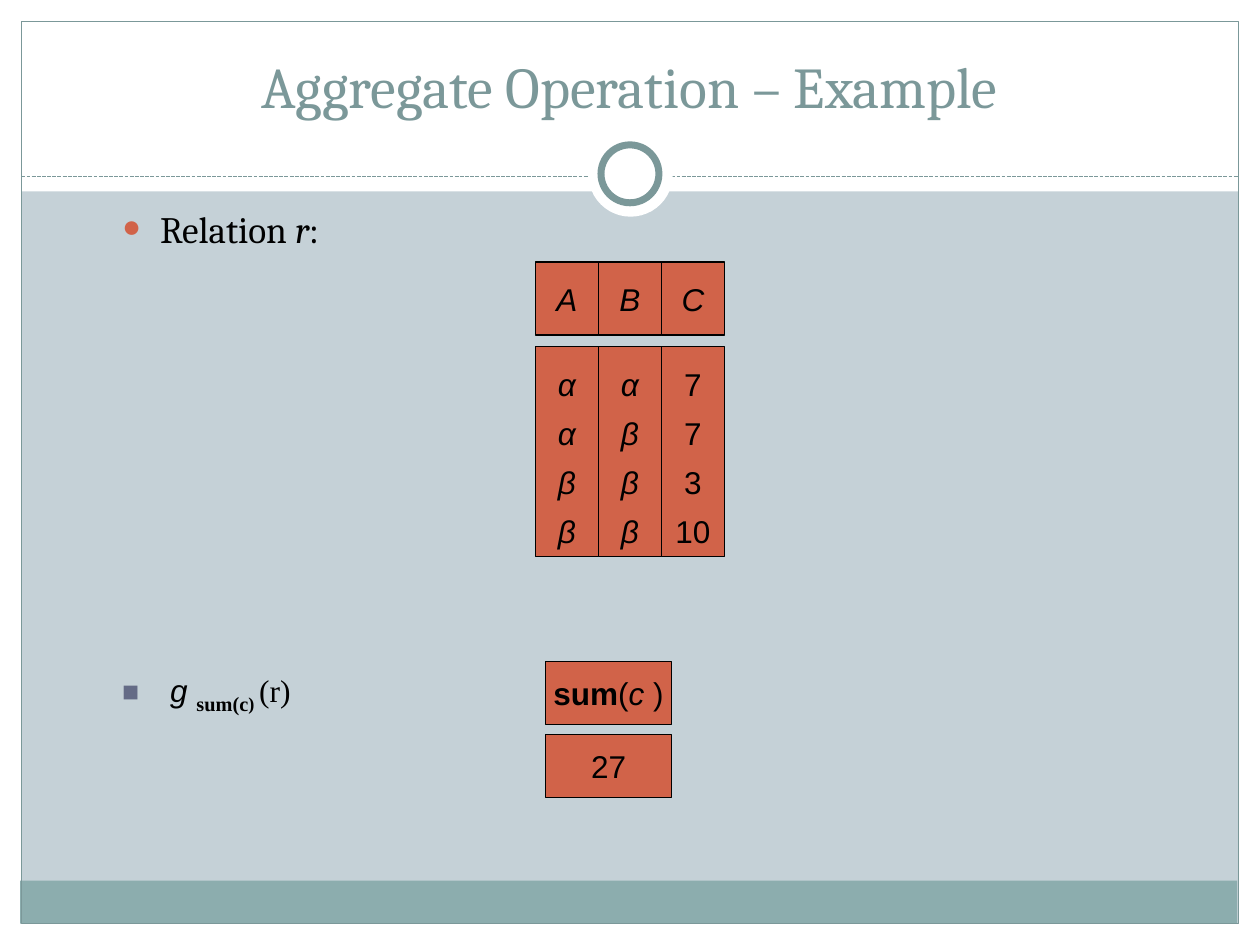
from lxml import etree
from pptx import Presentation
from pptx.dml.color import RGBColor
from pptx.enum.dml import MSO_LINE
from pptx.enum.shapes import MSO_CONNECTOR, MSO_SHAPE
from pptx.enum.text import MSO_ANCHOR, MSO_AUTO_SIZE, PP_ALIGN
from pptx.oxml.ns import qn
from pptx.util import Inches, Pt

RECTANGLE, ELLIPSE = MSO_SHAPE.RECTANGLE, MSO_SHAPE.OVAL
CENTER, LEFT = PP_ALIGN.CENTER, PP_ALIGN.LEFT
TOP, MIDDLE, BOTTOM = MSO_ANCHOR.TOP, MSO_ANCHOR.MIDDLE, MSO_ANCHOR.BOTTOM

COLORS = {"background": "C5D1D7", "white": "FFFFFF", "band": "8CADAE",
          "teal": "7B9899", "orange": "D16349", "violet": "646B86", "black": "000000"}

TITLE = "Aggregate Operation – Example"
ITALIC = {"italic": True}
SUBSCRIPT = {"font": "Times New Roman", "bold": True, "baseline": -25}
RELATION_LABEL = [("Relation ", {}), ("r", ITALIC), (":", {})]
QUERY_LABEL = [("g ", {"font": "Arial", "italic": True}),
               ("sum(c", {**SUBSCRIPT, "size": 20}),
               (") ", SUBSCRIPT),
               ("(r)", {"font": "Times New Roman"})]
RELATION = [("A", ["α", "α", "β", "β"], ITALIC),
            ("B", ["α", "β", "β", "β"], ITALIC),
            ("C", ["7", "7", "3", "10"], {})]
RESULT = [[("sum", {"bold": True}), ("(", {}), ("c ", ITALIC), (")", {})],
          [("27", {})]]
FRAME = [
    (RECTANGLE, (0, 7.33, 10, 0.17), "white", None, 0),
    (RECTANGLE, (0, 0, 10, 1.52), "white", None, 0),
    (RECTANGLE, (0, 0, 0.17, 7.5), "white", None, 0),
    (RECTANGLE, (9.83, 0, 0.17, 7.5), "white", None, 0),
    (RECTANGLE, (0.16, 6.99, 9.66, 0.34), "band", None, 0),
    (RECTANGLE, (0.17, 0.17, 9.66, 7.16), None, "teal", 0.75),
]
RINGS = [
    (ELLIPSE, (4.67, 1.05, 0.67, 0.67), "white", None, 0),
    (ELLIPSE, (4.77, 1.15, 0.46, 0.46), "white", "teal", 4),
]


def color(name):
    """Return the named colour."""
    return RGBColor.from_string(COLORS[name])


def add_block(slide, kind, box, fill, line, width):
    """Add a flat preset shape."""
    shape = slide.shapes.add_shape(kind, *map(Inches, box))
    shape.shadow.inherit = False
    if fill:
        shape.fill.solid()
        shape.fill.fore_color.rgb = color(fill)
    else:
        shape.fill.background()
    if line:
        shape.line.color.rgb = color(line)
        shape.line.width = Pt(width)
    else:
        shape.line.fill.background()
    return shape


def add_divider(slide):
    """Add the dashed line below the title."""
    line = slide.shapes.add_connector(
        MSO_CONNECTOR.STRAIGHT, Inches(0.17), Inches(1.4), Inches(9.83), Inches(1.4))
    line.line.color.rgb = color("teal")
    line.line.width = Pt(0.75)
    line.line.dash_style = MSO_LINE.SQUARE_DOT
    etree.SubElement(line.element.spPr, qn("a:effectLst"))


def add_bullet(paragraph, character, fill, percent, indent):
    """Give a paragraph a coloured hanging bullet."""
    properties = paragraph._p.get_or_add_pPr()
    properties.set("marL", str(Inches(indent)))
    properties.set("indent", str(-Inches(indent)))
    bullet_color = etree.SubElement(properties, qn("a:buClr"))
    etree.SubElement(bullet_color, qn("a:srgbClr"), val=COLORS[fill])
    etree.SubElement(properties, qn("a:buSzPct"), val=str(percent * 1000))
    etree.SubElement(properties, qn("a:buFont"), typeface="Arial")
    etree.SubElement(properties, qn("a:buChar"), char=character)


def write_text(shape, paragraphs, font="Arial", size=18, fill="black", align=CENTER,
               anchor=MIDDLE, spacing=1.0, wrap=False, bullet=None):
    """Write paragraphs of formatted runs into a shape."""
    frame = shape.text_frame
    frame.auto_size = MSO_AUTO_SIZE.NONE
    frame.word_wrap = wrap
    frame.vertical_anchor = anchor
    frame.margin_left = frame.margin_right = Inches(0.1)
    frame.margin_top = frame.margin_bottom = Inches(0.05)
    for index, runs in enumerate(paragraphs):
        paragraph = frame.add_paragraph() if index else frame.paragraphs[0]
        if bullet:
            add_bullet(paragraph, *bullet)
        paragraph.alignment = align
        paragraph.line_spacing = spacing
        paragraph.space_before = Pt(0)
        for text, style in runs:
            run = paragraph.add_run()
            run.text = text
            run.font.name = style.get("font", font)
            run.font.size = Pt(style.get("size", size))
            run.font.bold = style.get("bold", False)
            run.font.italic = style.get("italic", False)
            run.font.color.rgb = color(fill)
            if "baseline" in style:
                run.font._element.set("baseline", str(style["baseline"] * 1000))


def place(slide, placeholder, box):
    """Move a placeholder to its box, in front of the frame."""
    placeholder.left, placeholder.top, placeholder.width, placeholder.height = map(Inches, box)
    slide.shapes.element.append(placeholder.element)


def add_cell(slide, box, paragraphs, spacing=1.0):
    """Add one orange cell with text."""
    cell = add_block(slide, RECTANGLE, box, "orange", "black", 0.75)
    write_text(cell, paragraphs, spacing=spacing)


def main():
    """Build the aggregate operation slide."""
    presentation = Presentation()
    presentation.slide_width, presentation.slide_height = Inches(10), Inches(7.5)
    slide = presentation.slides.add_slide(presentation.slide_layouts.get_by_name("Two Content"))
    slide.background.fill.solid()
    slide.background.fill.fore_color.rgb = color("background")
    title, relation_label, query_label = list(slide.placeholders)[:3]

    for block in FRAME:
        add_block(slide, *block)
    add_divider(slide)
    for ring in RINGS:
        add_block(slide, *ring)

    place(slide, title, (0.33, 0.17, 9.33, 0.83))
    write_text(title, [[(TITLE, {})]], font="Cambria", size=33, fill="teal",
               anchor=BOTTOM, wrap=True)
    place(slide, relation_label, (0.87, 1.68, 1.93, 0.63))
    write_text(relation_label, [RELATION_LABEL], font="Cambria", size=21.3, align=LEFT,
               anchor=TOP, spacing=0.7, wrap=True, bullet=("●", "orange", 85, 0.3))
    place(slide, query_label, (0.87, 5.25, 2.2, 0.61))
    write_text(query_label, [QUERY_LABEL], align=LEFT, anchor=TOP, wrap=True,
               bullet=("■", "violet", 90, 0.38))

    for column, (heading, values, style) in enumerate(RELATION):
        left = 4.25 + 0.5 * column
        add_cell(slide, (left, 2.08, 0.5, 0.58), [[(heading, ITALIC)]])
        add_cell(slide, (left, 2.75, 0.5, 1.67), [[(value, style)] for value in values], 1.3)
    for row, runs in enumerate(RESULT):
        add_cell(slide, (4.33, 5.25 + 0.58 * row, 1, 0.5), [runs])

    presentation.save("out.pptx")


if __name__ == "__main__":
    main()
